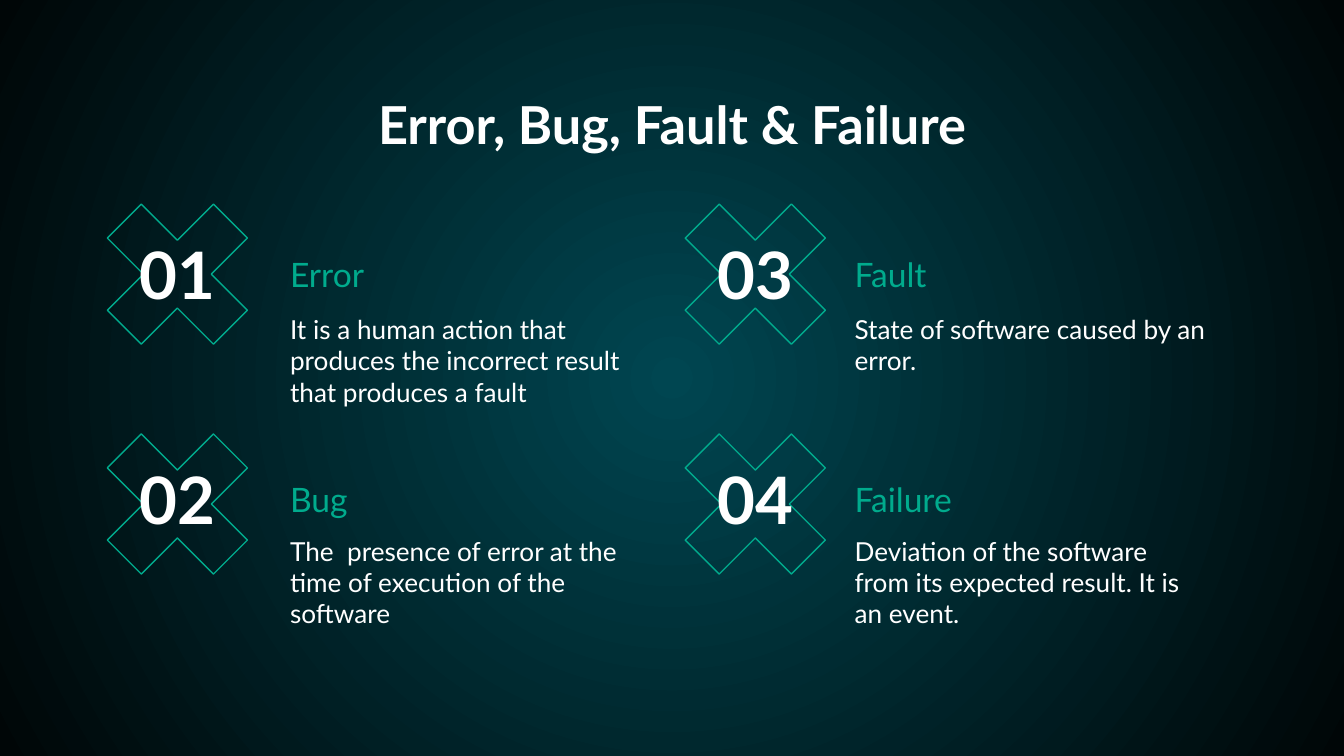
from dataclasses import dataclass

from lxml import etree
from pptx import Presentation
from pptx.dml.color import RGBColor
from pptx.enum.shapes import MSO_SHAPE
from pptx.enum.text import MSO_ANCHOR, PP_ALIGN
from pptx.oxml.ns import qn
from pptx.util import Inches, Pt

CROSS = MSO_SHAPE.MATH_MULTIPLY
TOP, MIDDLE, BOTTOM = MSO_ANCHOR.TOP, MSO_ANCHOR.MIDDLE, MSO_ANCHOR.BOTTOM
LEFT, CENTER = PP_ALIGN.LEFT, PP_ALIGN.CENTER


@dataclass(frozen=True)
class Theme:
    font: str = "Lato"
    glow: RGBColor = RGBColor(0x00, 0x46, 0x51)
    edge: RGBColor = RGBColor(0x00, 0x06, 0x07)
    accent: RGBColor = RGBColor(0x00, 0xAB, 0x8D)
    text: RGBColor = RGBColor(0xFF, 0xFF, 0xFF)
    title_size: int = 28
    number_size: int = 35
    term_size: int = 18
    body_size: int = 14


THEME = Theme()

# Left edges of each column: cross, texts
COLUMNS = [(0.56, 2.06), (4.86, 6.26)]
# Top edges of each row: cross, number, definition
ROWS = [(1.28, 1.79, 2.23), (2.99, 3.46, 3.88)]

# Terms run down the columns: term, definition, definition height
TERMS = [
    ("Error", "It is a human action that produces the incorrect result "
              "that produces a fault", 1.11),
    ("Bug", "The  presence of error at the time of execution of the software", 0.58),
    ("Fault", "State of software caused by an error.", 0.58),
    ("Failure", "Deviation of the software from its expected result. "
                "It is an event.", 0.58),
]


def add_text(slide, text, box, *, size, color=THEME.text, bold=False,
             align=LEFT, anchor=TOP):
    frame = slide.shapes.add_textbox(*map(Inches, box)).text_frame
    frame.word_wrap = True
    frame.vertical_anchor = anchor
    frame.margin_left = frame.margin_right = Inches(0.1)
    frame.margin_top = frame.margin_bottom = Inches(0.1)
    paragraph = frame.paragraphs[0]
    paragraph.alignment = align
    run = paragraph.add_run()
    run.text = text
    run.font.name = THEME.font
    run.font.size = Pt(size)
    run.font.bold = bold
    run.font.color.rgb = color


def paint_background(slide):
    fill = slide.background.fill
    fill.gradient()
    for stop, color in zip(fill.gradient_stops, (THEME.glow, THEME.edge)):
        stop.color.rgb = color
    # Turn the linear gradient into a circle around the slide centre
    gradient = slide.element.find(".//" + qn("a:gradFill"))
    gradient.remove(gradient.find(qn("a:lin")))
    circle = etree.SubElement(gradient, qn("a:path"), path="circle")
    etree.SubElement(circle, qn("a:fillToRect"),
                     dict.fromkeys("ltrb", "50000"))


def add_cross(slide, left, top, side):
    cross = slide.shapes.add_shape(CROSS, *map(Inches, (left, top, side, side)))
    cross.shadow.inherit = False
    cross.adjustments[0] = 0.235
    cross.fill.background()
    cross.line.color.rgb = THEME.accent
    cross.line.width = Pt(0.75)


def add_term(slide, number, column, row, term, definition, height):
    cross_left, text_left = column
    cross_top, number_top, definition_top = row
    add_cross(slide, cross_left, cross_top, 1.52)
    add_text(slide, f"{number:02}", (cross_left + 0.29, number_top, 0.94, 0.49),
             size=THEME.number_size, bold=True, align=CENTER, anchor=MIDDLE)
    add_text(slide, term, (text_left, number_top + 0.09, 2.82, 0.41),
             size=THEME.term_size, color=THEME.accent, anchor=BOTTOM)
    add_text(slide, definition, (text_left, definition_top, 2.82, height),
             size=THEME.body_size)


def main():
    deck = Presentation()
    # Widescreen 16:9
    deck.slide_width = Inches(10)
    deck.slide_height = Inches(10) * 9 // 16
    slide = deck.slides.add_slide(deck.slide_layouts[6])
    paint_background(slide)

    # Title
    add_text(slide, "Error, Bug, Fault & Failure", (0.78, 0.59, 8.44, 0.63),
             size=THEME.title_size, bold=True, align=CENTER)

    # Numbered terms
    for index, entry in enumerate(TERMS):
        column, row = divmod(index, len(ROWS))
        add_term(slide, index + 1, COLUMNS[column], ROWS[row], *entry)

    deck.save("out.pptx")


if __name__ == "__main__":
    main()
